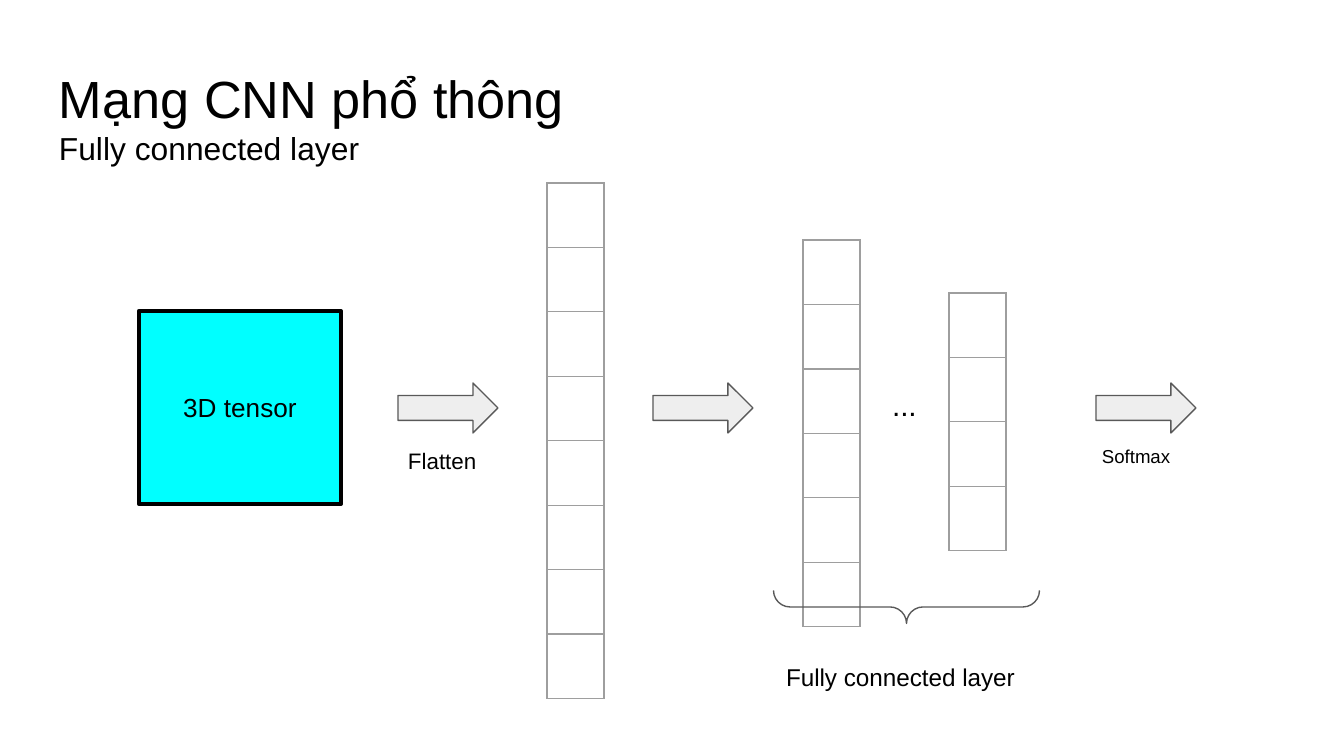
from dataclasses import dataclass

from lxml import etree
from pptx import Presentation
from pptx.dml.color import RGBColor
from pptx.enum.shapes import MSO_SHAPE
from pptx.enum.text import MSO_ANCHOR, PP_ALIGN
from pptx.oxml.ns import qn
from pptx.util import Emu, Pt

RECTANGLE = MSO_SHAPE.RECTANGLE
ARROW = MSO_SHAPE.RIGHT_ARROW
BRACE = MSO_SHAPE.RIGHT_BRACE
CENTER = PP_ALIGN.CENTER
LEFT = PP_ALIGN.LEFT
MIDDLE = MSO_ANCHOR.MIDDLE


@dataclass(frozen=True)
class Theme:
    font: str = "Arial"
    ink: str = "000000"
    tensor: str = "00FFFF"
    arrow: str = "EEEEEE"
    outline: str = "595959"
    grid: str = "9E9E9E"
    title: int = 28
    subtitle: int = 17
    dots: int = 16
    tensor_size: int = 14
    caption: int = 13
    label: int = 12
    small: int = 10
    thin: float = 0.75
    thick: float = 2.25


THEME = Theme()
SLIDE = (1344, 756)
EMU_PER_PX = 914400 / 134.4
INSET = 13

TITLE_BOX = (46, 53, 1253, 85)
TITLE_LINES = [("Mạng CNN phổ thông", THEME.title), ("Fully connected layer", THEME.subtitle)]
TENSOR_BOX = (139, 311, 202, 193)
TENSOR_LINES = [("3D tensor", THEME.tensor_size)]

ARROW_LEFTS = [398, 653, 1096]
ARROW_TOP, ARROW_WIDTH, ARROW_HEIGHT = 383, 100, 50

VECTORS = [(547, 183, 8), (803, 240, 6), (949, 293, 4)]
VECTOR_WIDTH, PAIR_HEIGHT = 57, 129

BRACE_BOX = (890, 474, 33, 266)

LABELS = [
    ("...", THEME.dots, (879, 374, 57, 69)),
    ("Flatten", THEME.label, (395, 434, 100, 39)),
    ("Fully connected layer", THEME.caption, (773, 649, 266, 39)),
    ("Softmax", THEME.small, (1089, 434, 100, 39)),
]


def px(value):
    return Emu(round(value * EMU_PER_PX))


def place(box):
    return [px(value) for value in box]


def write(frame, lines, align=LEFT):
    frame.word_wrap = True
    frame.margin_left = frame.margin_right = px(INSET)
    frame.margin_top = frame.margin_bottom = px(INSET)
    frame.text = "\n".join(text for text, size in lines)
    for para, (text, size) in zip(frame.paragraphs, lines):
        para.alignment = align
        font = para.runs[0].font
        font.name = THEME.font
        font.size = Pt(size)
        font.color.rgb = RGBColor.from_string(THEME.ink)


def add_text(page, box, lines):
    write(page.shapes.add_textbox(*place(box)).text_frame, lines)


def add_figure(page, kind, box, fill, line, width):
    figure = page.shapes.add_shape(kind, *place(box))
    figure.shadow.inherit = False
    if fill:
        figure.fill.solid()
        figure.fill.fore_color.rgb = RGBColor.from_string(fill)
    else:
        figure.fill.background()
    figure.line.color.rgb = RGBColor.from_string(line)
    figure.line.width = Pt(width)
    return figure


def outline_cell(cell):
    properties = cell._tc.get_or_add_tcPr()
    for side in ("a:lnL", "a:lnR", "a:lnT", "a:lnB"):
        border = etree.SubElement(properties, qn(side), w=str(Pt(THEME.thin)))
        fill = etree.SubElement(border, qn("a:solidFill"))
        etree.SubElement(fill, qn("a:srgbClr"), val=THEME.grid)
    cell.fill.background()


def add_vector(page, left, top, count):
    box = (left, top, VECTOR_WIDTH, PAIR_HEIGHT * count / 2)
    table = page.shapes.add_table(count, 1, *place(box)).table
    table.first_row = False
    table.horz_banding = False
    for cell in table.iter_cells():
        outline_cell(cell)


def main():
    deck = Presentation()
    deck.slide_width, deck.slide_height = place(SLIDE)
    page = deck.slides.add_slide(deck.slide_layouts[6])

    add_text(page, TITLE_BOX, TITLE_LINES)
    tensor = add_figure(page, RECTANGLE, TENSOR_BOX, THEME.tensor, THEME.ink, THEME.thick)
    write(tensor.text_frame, TENSOR_LINES, CENTER)
    tensor.text_frame.vertical_anchor = MIDDLE

    for left in ARROW_LEFTS:
        box = (left, ARROW_TOP, ARROW_WIDTH, ARROW_HEIGHT)
        add_figure(page, ARROW, box, THEME.arrow, THEME.outline, THEME.thin)
    for vector in VECTORS:
        add_vector(page, *vector)

    brace = add_figure(page, BRACE, BRACE_BOX, None, THEME.outline, THEME.thin)
    brace.rotation = 90
    brace.adjustments[0] = 0.5

    for text, size, box in LABELS:
        add_text(page, box, [(text, size)])
    deck.save("out.pptx")


if __name__ == "__main__":
    main()
